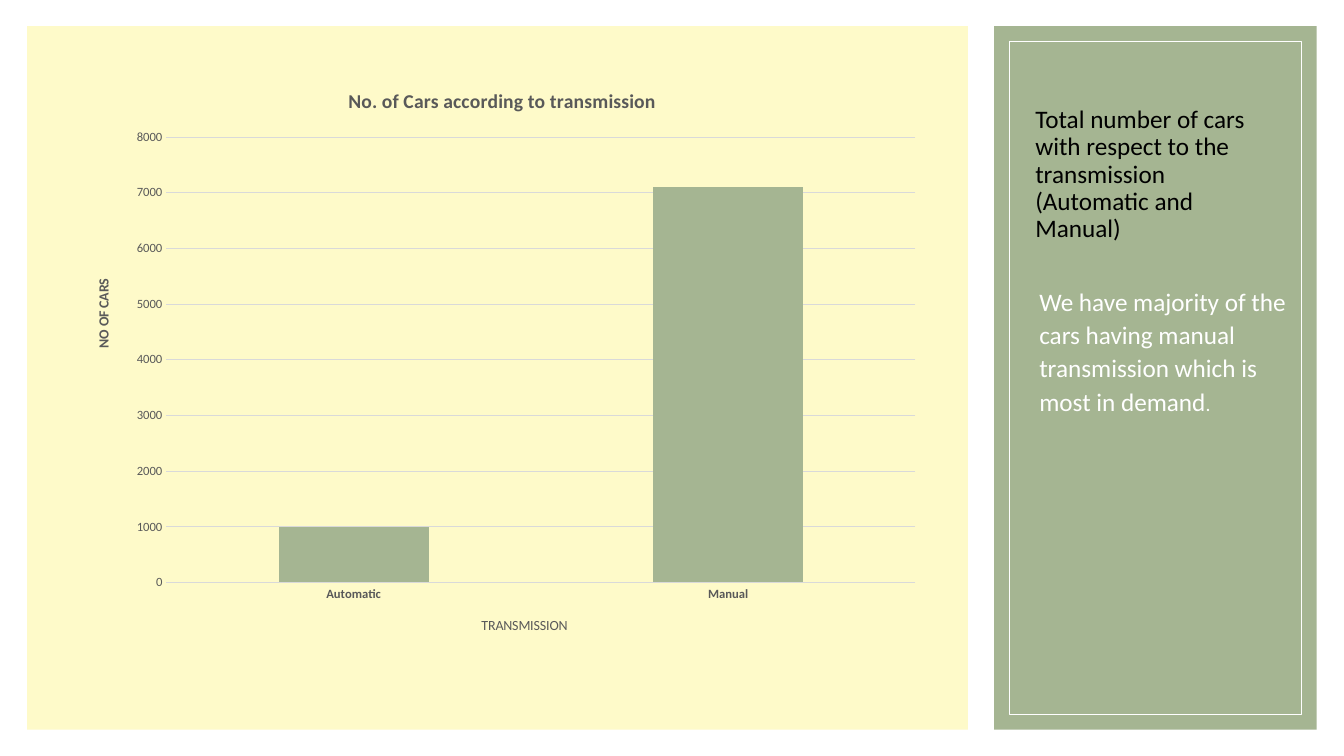
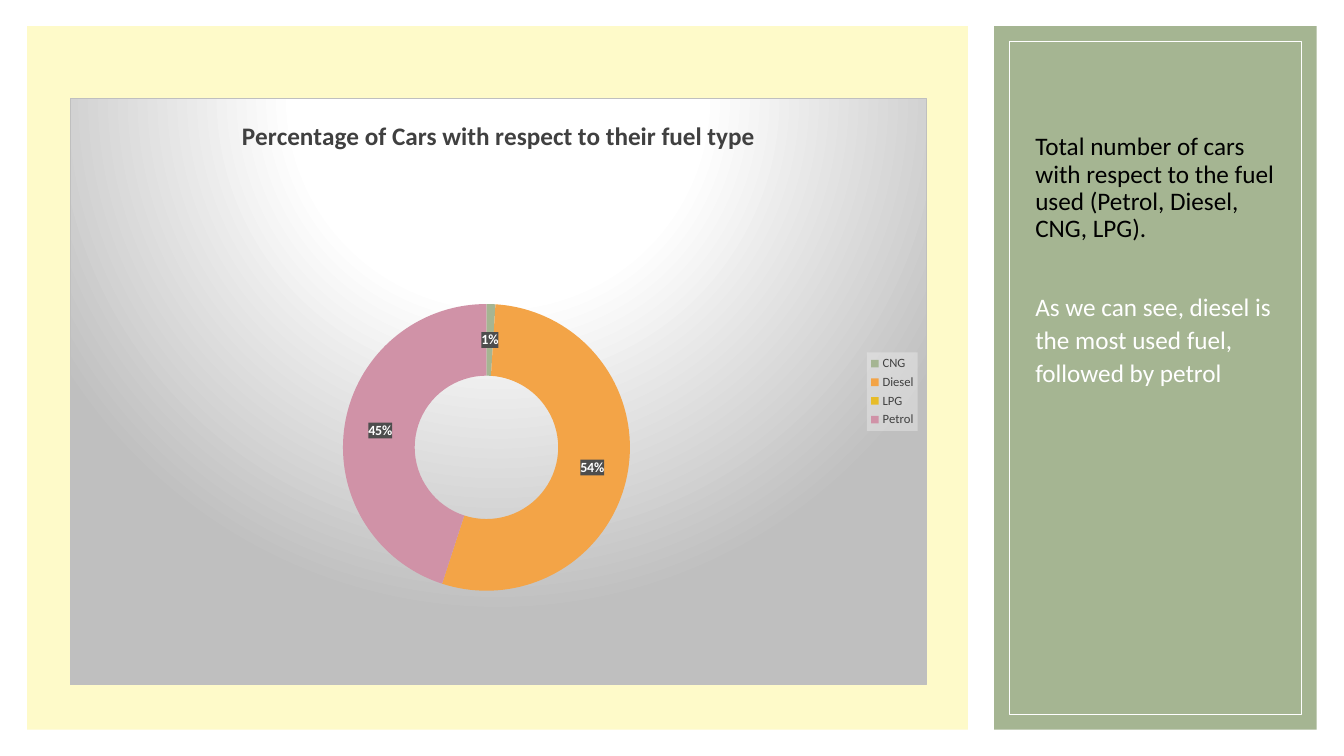
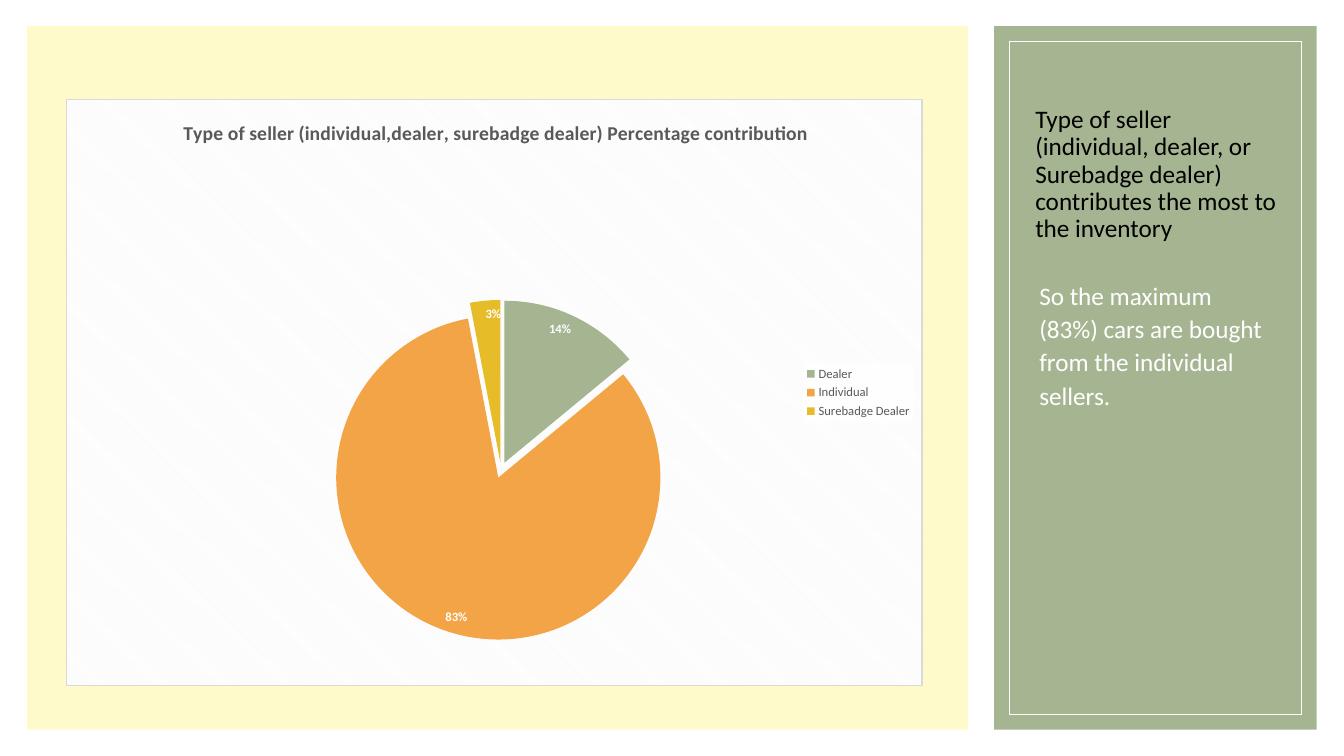
from lxml import etree
from pptx import Presentation
from pptx.chart.data import CategoryChartData
from pptx.dml.color import RGBColor
from pptx.enum.chart import XL_CHART_TYPE, XL_LABEL_POSITION, XL_LEGEND_POSITION, XL_TICK_MARK
from pptx.enum.shapes import MSO_SHAPE
from pptx.enum.text import MSO_ANCHOR
from pptx.oxml import parse_xml
from pptx.oxml.ns import nsdecls, qn
from pptx.util import Inches, Pt

RECTANGLE = MSO_SHAPE.RECTANGLE
ANCHOR_TOP, ANCHOR_BOTTOM = MSO_ANCHOR.TOP, MSO_ANCHOR.BOTTOM
COLUMN_STACKED = XL_CHART_TYPE.COLUMN_STACKED
DOUGHNUT, PIE = XL_CHART_TYPE.DOUGHNUT, XL_CHART_TYPE.PIE
LEGEND_RIGHT = XL_LEGEND_POSITION.RIGHT
INSIDE_END = XL_LABEL_POSITION.INSIDE_END
NO_TICK = XL_TICK_MARK.NONE

FONT = "Calibri"
CHART_WIDTH, CHART_HEIGHT = 8.5, 5.83
BLACK = RGBColor(0x00, 0x00, 0x00)
WHITE = RGBColor(0xFF, 0xFF, 0xFF)
CREAM = RGBColor(0xFE, 0xFA, 0xC9)
GREEN = RGBColor(0xA5, 0xB5, 0x92)
ORANGE = RGBColor(0xF3, 0xA4, 0x47)
YELLOW = RGBColor(0xE7, 0xBC, 0x29)
PINK = RGBColor(0xD0, 0x92, 0xA7)
DARK_GRAY = RGBColor(0x40, 0x40, 0x40)
LABEL_GRAY = RGBColor(0x4D, 0x4D, 0x4D)
GRAY = RGBColor(0x59, 0x59, 0x59)
SILVER = RGBColor(0xBF, 0xBF, 0xBF)
GRID_GRAY = RGBColor(0xD9, 0xD9, 0xD9)
PALE_GRAY = RGBColor(0xF2, 0xF2, 0xF2)


def add_rectangle(slide, box, fill=None, line=None):
    shape = slide.shapes.add_shape(RECTANGLE, *map(Inches, box))
    shape.shadow.inherit = False
    if fill is None:
        shape.fill.background()
    else:
        shape.fill.solid()
        shape.fill.fore_color.rgb = fill
    if line is None:
        shape.line.fill.background()
    else:
        shape.line.color.rgb = line
        shape.line.width = Pt(0.5)


def style_font(font, size, color, bold=False):
    font.name = FONT
    font.size = Pt(size)
    font.bold = bold
    font.color.rgb = color


def add_text(slide, box, runs, color, anchor, line_spacing, space_before=0):
    frame = slide.shapes.add_textbox(*map(Inches, box)).text_frame
    frame.word_wrap = True
    frame.vertical_anchor = anchor
    paragraph = frame.paragraphs[0]
    paragraph.line_spacing = line_spacing
    paragraph.space_before = Pt(space_before)
    for text, size in runs:
        run = paragraph.add_run()
        run.text = text
        style_font(run.font, size, color)


def add_chart_slide(presentation, title, body_box, body_runs):
    slide = presentation.slides.add_slide(presentation.slide_layouts[6])
    add_rectangle(slide, (0.27, 0.26, 9.33, 6.98), fill=CREAM)
    add_rectangle(slide, (9.86, 0.26, 3.2, 6.98), fill=GREEN)
    add_rectangle(slide, (10.01, 0.41, 2.9, 6.68), line=WHITE)
    add_text(slide, (10.17, 0.66, 2.66, 1.8), [(title, 18)], BLACK, ANCHOR_BOTTOM, 0.9)
    add_text(slide, body_box, body_runs, WHITE, ANCHOR_TOP, 1.1, 8)
    return slide


def manual_layout(parent, box, inner=False):
    for previous in parent.findall(qn("c:layout")):
        parent.remove(previous)
    layout = etree.Element(qn("c:layout"))
    manual = etree.SubElement(layout, qn("c:manualLayout"))
    settings = {"layoutTarget": "inner"} if inner else {}
    settings.update(xMode="edge", yMode="edge")
    chart_size = (CHART_WIDTH, CHART_HEIGHT) * 2
    for name, length, whole in zip("xywh", box, chart_size):
        settings[name] = length / whole
    for name, value in settings.items():
        etree.SubElement(manual, qn("c:" + name)).set("val", str(value))
    text = parent.find(qn("c:tx"))
    if text is None:
        parent.insert(0, layout)
    else:
        text.addnext(layout)


def shape_properties(fill, border=None):
    line = ""
    if border is not None:
        line = f'<a:ln w="9525"><a:solidFill><a:srgbClr val="{border}"/></a:solidFill></a:ln>'
    return parse_xml(f'<c:spPr {nsdecls("c", "a")}>{fill}{line}</c:spPr>')


def solid_fill(color, opacity=100):
    return (f'<a:solidFill><a:srgbClr val="{color}"><a:alpha val="{opacity * 1000}"/>'
            '</a:srgbClr></a:solidFill>')


def radial_fill():
    stops = "".join(f'<a:gs pos="{position * 1000}"><a:srgbClr val="{color}"/></a:gs>'
                    for position, color in ((0, WHITE), (39, WHITE), (100, SILVER)))
    return (f'<a:gradFill><a:gsLst>{stops}</a:gsLst><a:path path="circle">'
            '<a:fillToRect l="50000" t="-80000" r="50000" b="180000"/></a:path></a:gradFill>')


def striped_fill():
    return (f'<a:pattFill prst="dkDnDiag"><a:fgClr><a:srgbClr val="{PALE_GRAY}"/></a:fgClr>'
            f'<a:bgClr><a:srgbClr val="{WHITE}"/></a:bgClr></a:pattFill>')


def set_title(title, text, size, color, bold, position):
    run = title.text_frame.paragraphs[0].add_run()
    run.text = text
    style_font(run.font, size, color, bold)
    manual_layout(title._element, position)


def add_chart(slide, kind, position, values, plot_box):
    data = CategoryChartData()
    data.categories = list(values)
    data.add_series("Series 1", list(values.values()))
    box = (*position, CHART_WIDTH, CHART_HEIGHT)
    chart = slide.shapes.add_chart(kind, *map(Inches, box), data).chart
    style_font(chart.font, 10, BLACK)
    chart.has_title = True
    chart.has_legend = False
    manual_layout(chart._chartSpace.chart.plotArea, plot_box, inner=True)
    return chart


def style_axis(axis, bold, title, title_bold, title_position):
    axis.major_tick_mark = axis.minor_tick_mark = NO_TICK
    axis.format.line.fill.background()
    style_font(axis.tick_labels.font, 9, GRAY, bold)
    axis.has_title = True
    set_title(axis.axis_title, title, 10, GRAY, title_bold, title_position)


def style_columns(chart):
    plot = chart.plots[0]
    plot.vary_by_categories = False
    plot.gap_width = 150
    plot.overlap = 100
    fill = plot.series[0].format.fill
    fill.solid()
    fill.fore_color.rgb = GREEN
    style_axis(chart.category_axis, True, "TRANSMISSION", False, (4, 5.42))
    axis = chart.value_axis
    style_axis(axis, False, "NO OF CARS", True, (0.16, 2.07))
    axis.minimum_scale, axis.maximum_scale, axis.major_unit = 0, 8000, 1000
    axis.has_major_gridlines = True
    axis.major_gridlines.format.line.color.rgb = GRID_GRAY
    axis.major_gridlines.format.line.width = Pt(0.75)


def style_slices(chart, colors, background, border, label_size, legend_color, legend_fill):
    series = chart.plots[0].series[0]
    for index, color in enumerate(colors):
        fill = series.points[index].format.fill
        fill.solid()
        fill.fore_color.rgb = color
    labels = series.data_labels
    labels.show_value = False
    labels.show_percentage = True
    style_font(labels.font, label_size, WHITE, True)
    chart.has_legend = True
    legend = chart.legend
    legend.position = LEGEND_RIGHT
    legend.include_in_layout = False
    style_font(legend.font, 9, legend_color)
    legend._element.find(qn("c:overlay")).addnext(shape_properties(legend_fill))
    chart._chartSpace.chart.addnext(shape_properties(background, border))
    return series


def add_transmission_slide(presentation):
    slide = add_chart_slide(
        presentation,
        "Total number of cars with respect to the transmission (Automatic and Manual)",
        (10.21, 2.76, 2.66, 3.83),
        [("We have majority of the cars having manual transmission which is most in demand", 18),
         (".", 14)])
    chart = add_chart(slide, COLUMN_STACKED, (0.75, 0.67),
                      {"Automatic": 1000, "Manual": 7100}, (0.9, 0.69, 7.43, 4.42))
    set_title(chart.chart_title, "No. of Cars according to transmission",
              14, GRAY, True, (2.67, 0.16))
    style_columns(chart)


def add_fuel_slide(presentation):
    slide = add_chart_slide(
        presentation,
        "Total number of cars with respect to the fuel used (Petrol, Diesel, CNG, LPG).",
        (10.17, 2.81, 2.66, 3.83),
        [("As we can see, diesel is the most used fuel, followed by petrol", 18)])
    chart = add_chart(slide, DOUGHNUT, (0.69, 0.97),
                      {"CNG": 1, "Diesel": 54, "LPG": 0, "Petrol": 45},
                      (2.71, 1.84, 2.85, 3.26))
    set_title(chart.chart_title, "Percentage of Cars with respect to their fuel type",
              18, DARK_GRAY, True, (1.66, 0.15))
    series = style_slices(chart, (GREEN, ORANGE, YELLOW, PINK), radial_fill(), SILVER,
                          10, DARK_GRAY, solid_fill(PALE_GRAY, 39))
    label_text = series.data_labels._element.find(qn("c:txPr"))
    label_text.addprevious(shape_properties(solid_fill(LABEL_GRAY)))


def add_seller_slide(presentation):
    slide = add_chart_slide(
        presentation,
        "Type of seller (individual, dealer, or Surebadge dealer) "
        "contributes the most to the inventory",
        (10.21, 2.7, 2.47, 3.83),
        [("So the maximum (83%) cars are bought from the individual sellers.", 18)])
    chart = add_chart(slide, PIE, (0.65, 0.98),
                      {"Dealer": 14, "Individual": 83, "Surebadge Dealer": 3},
                      (2.63, 1.75, 3.38, 3.87))
    set_title(chart.chart_title,
              "Type of seller (individual,dealer, surebadge dealer) Percentage contribution",
              14, GRAY, True, (1.13, 0.16))
    series = style_slices(chart, (GREEN, ORANGE, YELLOW), striped_fill(), GRID_GRAY,
                          9, GRAY, solid_fill(WHITE, 78))
    series.data_labels.position = INSIDE_END
    explosion = etree.Element(qn("c:explosion"))
    explosion.set("val", "5")
    series._element.find(qn("c:dPt")).addprevious(explosion)


def main():
    presentation = Presentation()
    presentation.slide_width = Inches(13.33)
    presentation.slide_height = Inches(7.5)
    add_transmission_slide(presentation)
    add_fuel_slide(presentation)
    add_seller_slide(presentation)
    presentation.save("out.pptx")


if __name__ == "__main__":
    main()
